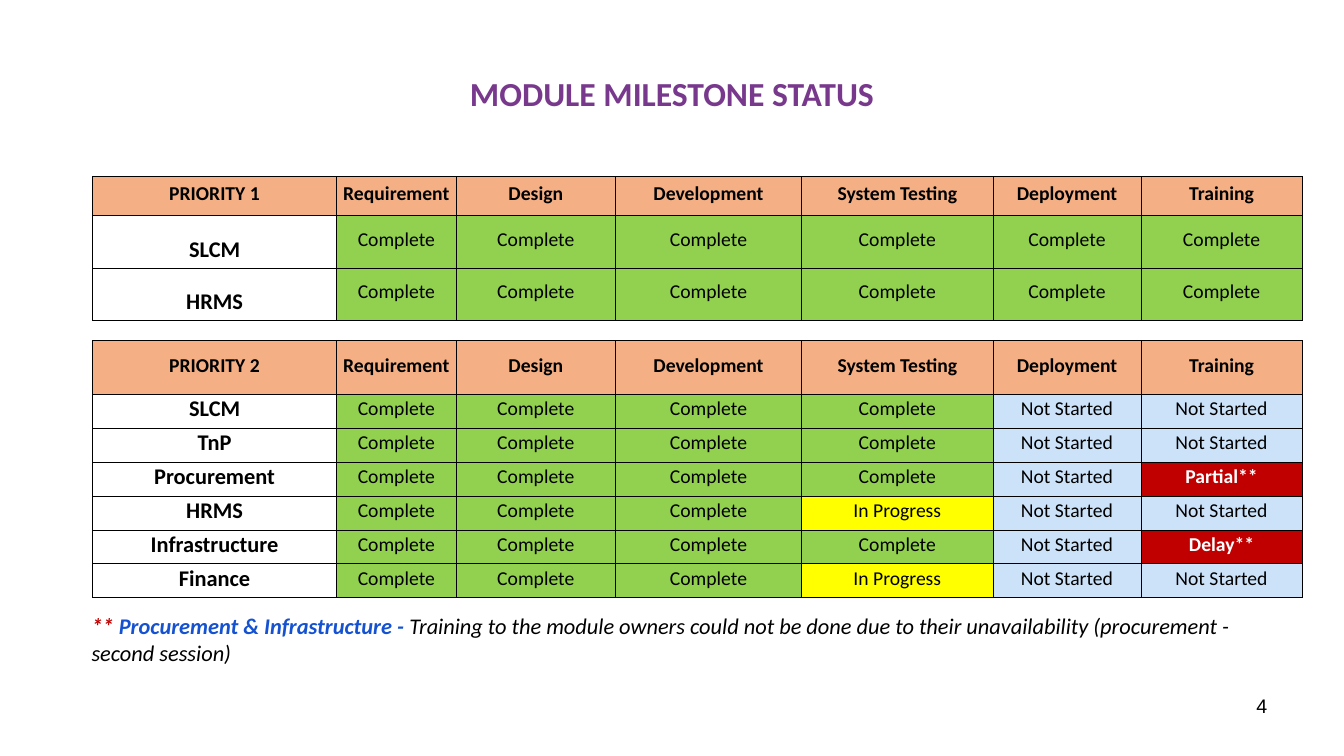
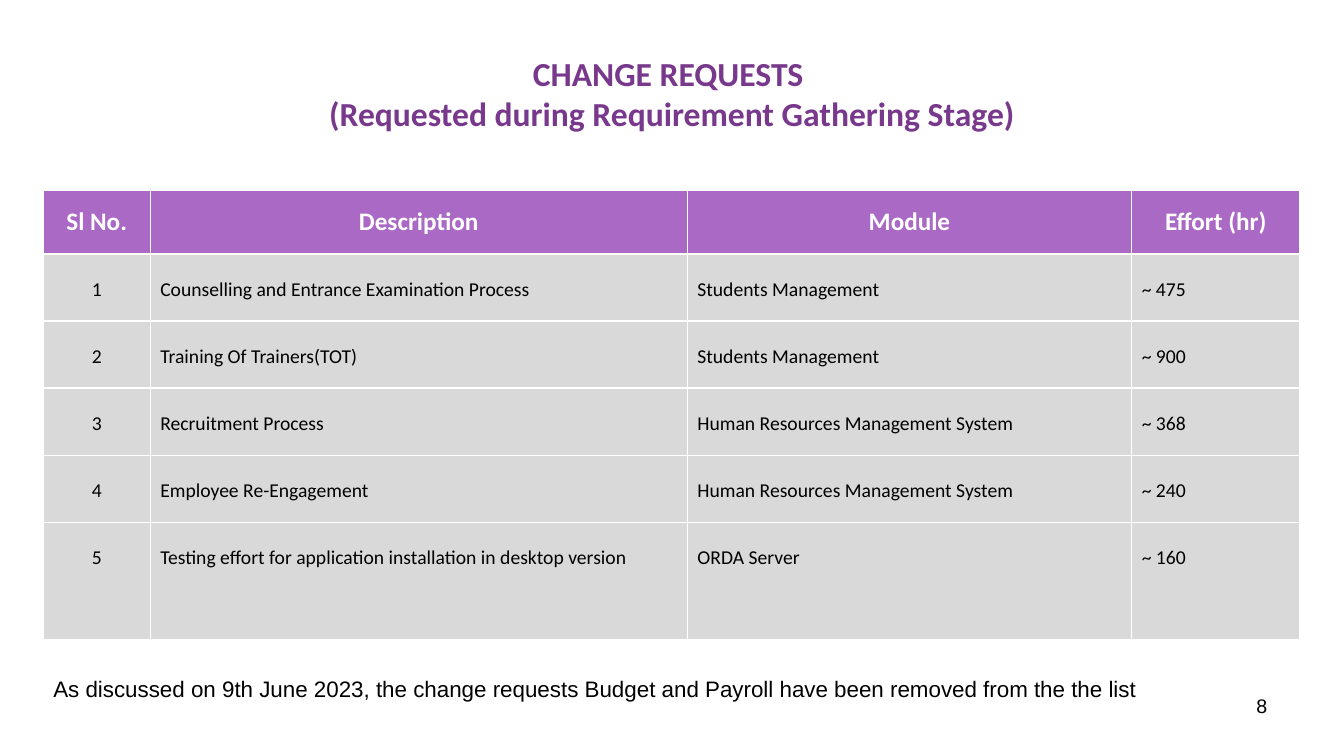
import pptx
import pptx.dml.color
import pptx.enum.text
import pptx.oxml
import pptx.oxml.ns
import pptx.util

# Shared look
COLOURS = {
    "title": "78398D", "ink": "000000", "paper": "FFFFFF",
    "peach": "F4B084", "green": "92D050", "sky": "CBE2F9",
    "yellow": "FFFF00", "red": "C00000", "blue": "1552D1",
    "violet": "A969C4", "grey": "D9D9D9",
}
FONT, PLAIN_FONT = "Calibri", "Arial"
ALIGN = pptx.enum.text.PP_ALIGN
ANCHOR = pptx.enum.text.MSO_ANCHOR

# Layout grid
WIDTH, HEIGHT = 13.33, 7.5
COLUMNS, ROWS = 40, 30

# Content
STAGES = ["Requirement", "Design", "Development", "System Testing",
          "Deployment", "Training"]
STAGE_WEIGHTS = [2.42, 1.19, 1.58, 1.85, 1.9, 1.47, 1.6]
DONE, WAITING, ACTIVE = "Complete", "Not Started", "In Progress"
STATUS_FILLS = {DONE: "green", WAITING: "sky", ACTIVE: "yellow",
                "Partial**": "red", "Delay**": "red"}
PRIORITY_1 = {name: [DONE] * 6 for name in ("SLCM", "HRMS")}
PRIORITY_2 = {
    name: [DONE] * 3 + [testing, WAITING, training]
    for name, testing, training in [
        ("SLCM", DONE, WAITING),
        ("TnP", DONE, WAITING),
        ("Procurement", DONE, "Partial**"),
        ("HRMS", ACTIVE, WAITING),
        ("Infrastructure", DONE, "Delay**"),
        ("Finance", ACTIVE, WAITING),
    ]
}
REQUEST_HEADS = ["Sl No.", "Description", "Module", "Effort (hr)"]
REQUEST_WEIGHTS = [1.06, 5.33, 4.41, 1.67]
REQUESTS = [
    ("Counselling and Entrance Examination Process", "Students Management", 475),
    ("Training Of Trainers(TOT)", "Students Management", 900),
    ("Recruitment Process", "Human Resources Management System", 368),
    ("Employee Re-Engagement", "Human Resources Management System", 240),
    ("Testing effort for application installation in desktop version",
     "ORDA Server", 160),
]


def across(columns):
    return pptx.util.Inches(columns * WIDTH / COLUMNS)


def down(rows):
    return pptx.util.Inches(rows * HEIGHT / ROWS)


def rgb(name):
    return pptx.dml.color.RGBColor.from_string(COLOURS[name])


# Text
def add_text(para, text, *, size=14, font=FONT, colour="ink", bold=False,
             italic=False, align=None, spacing=None):
    """Append text to a paragraph; a newline becomes a line break."""
    if align is not None:
        para.alignment = align
    if spacing:
        para.line_spacing = spacing
    for index, line in enumerate(text.split("\n")):
        if index:
            para.add_line_break()
        span = para.add_run()
        span.text = line
        span.font.size = pptx.util.Pt(size)
        span.font.name = font
        span.font.bold = bold
        span.font.italic = italic
        span.font.color.rgb = rgb(colour)


def add_box(page, left, top, width, height, anchor=ANCHOR.TOP):
    """Add a wrapping text box and return its first paragraph."""
    box = page.shapes.add_textbox(across(left), down(top),
                                  across(width), down(height))
    box.text_frame.word_wrap = True
    box.text_frame.vertical_anchor = anchor
    return box.text_frame.paragraphs[0]


def add_page(deck, title, number):
    """Add a blank page with the shared title and page number."""
    page = deck.slides.add_slide(deck.slide_layouts[6])
    add_text(add_box(page, 2, 1.2, 36, 5, ANCHOR.MIDDLE), title,
             size=24, colour="title", bold=True, align=ALIGN.CENTER)
    add_text(add_box(page, 28.68, 27.32, 9.33, 2.08), str(number),
             font=PLAIN_FONT, align=ALIGN.RIGHT)
    return page


# Tables
def add_grid(page, left, top, width, weights, heights):
    """Add an unbanded table with weighted columns and given row heights."""
    table = page.shapes.add_table(len(heights), len(weights), across(left),
                                  down(top), across(width),
                                  down(sum(heights))).table
    table.first_row = table.horz_banding = False
    for column, weight in zip(table.columns, weights):
        column.width = across(width * weight / sum(weights))
    for row, height in zip(table.rows, heights):
        row.height = down(height)
    return table


def fill_cell(cell, text, fill, border, border_width, anchor=ANCHOR.MIDDLE,
              tight=False, **text_format):
    cell.fill.solid()
    cell.fill.fore_color.rgb = rgb(fill)
    cell.vertical_anchor = anchor
    if tight:
        cell.margin_left = cell.margin_right = pptx.util.Inches(0.01)
        cell.margin_top = pptx.util.Inches(0.01)
    add_text(cell.text_frame.paragraphs[0], text, **text_format)
    # Borders come before the fill in the cell properties
    properties = cell._tc.get_or_add_tcPr()
    for index, side in enumerate("LRTB"):
        properties.insert(index, pptx.oxml.parse_xml(
            f'<a:ln{side} {pptx.oxml.ns.nsdecls("a")} '
            f'w="{pptx.util.Pt(border_width)}"><a:solidFill>'
            f'<a:srgbClr val="{COLOURS[border]}"/></a:solidFill></a:ln{side}>'))


def add_status_table(page, top, heading, modules, head_height, body_height):
    heights = [head_height] + [body_height / len(modules)] * len(modules)
    table = add_grid(page, 2.76, top, 36, STAGE_WEIGHTS, heights)
    style = dict(border="ink", border_width=0.5, tight=True,
                 align=ALIGN.CENTER)
    for column, text in enumerate([heading] + STAGES):
        fill_cell(table.cell(0, column), text, "peach", bold=True, **style)
    for row, (name, statuses) in enumerate(modules.items(), 1):
        fill_cell(table.cell(row, 0), name, "paper", anchor=ANCHOR.BOTTOM,
                  size=16, bold=True, **style)
        for column, status in enumerate(statuses, 1):
            fill = STATUS_FILLS[status]
            alert = fill == "red"
            fill_cell(table.cell(row, column), status, fill, bold=alert,
                      colour="paper" if alert else "ink", **style)


def add_request_table(page):
    heights = [2.52] + [2.66] * (len(REQUESTS) - 1) + [4.68]
    table = add_grid(page, 1.29, 7.56, 37.4, REQUEST_WEIGHTS, heights)
    style = dict(border="paper", border_width=1)
    for column, text in enumerate(REQUEST_HEADS):
        fill_cell(table.cell(0, column), text, "violet", size=18, bold=True,
                  colour="paper", align=ALIGN.CENTER, **style)
    for row, (description, module, effort) in enumerate(REQUESTS, 1):
        texts = [str(row), description, module, f"~ {effort}"]
        for column, text in enumerate(texts):
            fill_cell(table.cell(row, column), text, "grey",
                      anchor=ANCHOR.TOP, spacing=1.8,
                      align=ALIGN.LEFT if column else ALIGN.CENTER, **style)


# Pages
def add_milestone_page(deck):
    page = add_page(deck, "MODULE MILESTONE STATUS", 4)
    note = add_box(page, 2.43, 24.08, 36.33, 3.56)
    add_text(note, "** ", size=16, colour="red", bold=True, italic=True)
    add_text(note, "Procurement & Infrastructure - ", size=16, colour="blue",
             bold=True, italic=True)
    add_text(note, "Training to the module owners could not be done due to "
             "their unavailability (procurement - second session)",
             size=16, italic=True)
    add_status_table(page, 13.52, "PRIORITY 2", PRIORITY_2, 2.12, 8.08)
    add_status_table(page, 7, "PRIORITY 1", PRIORITY_1, 1.56, 4.16)


def add_request_page(deck):
    page = add_page(deck, "CHANGE REQUESTS \n"
                    "(Requested during Requirement Gathering Stage)", 8)
    add_request_table(page)
    add_text(add_box(page, 1.29, 26.6, 36.54, 1.48),
             "As discussed on 9th June 2023, the change requests Budget and "
             "Payroll have been removed from the the list",
             size=16, font=PLAIN_FONT)


def main():
    deck = pptx.Presentation()
    deck.slide_width = across(COLUMNS)
    deck.slide_height = down(ROWS)
    add_milestone_page(deck)
    add_request_page(deck)
    deck.save("out.pptx")


if __name__ == "__main__":
    main()
